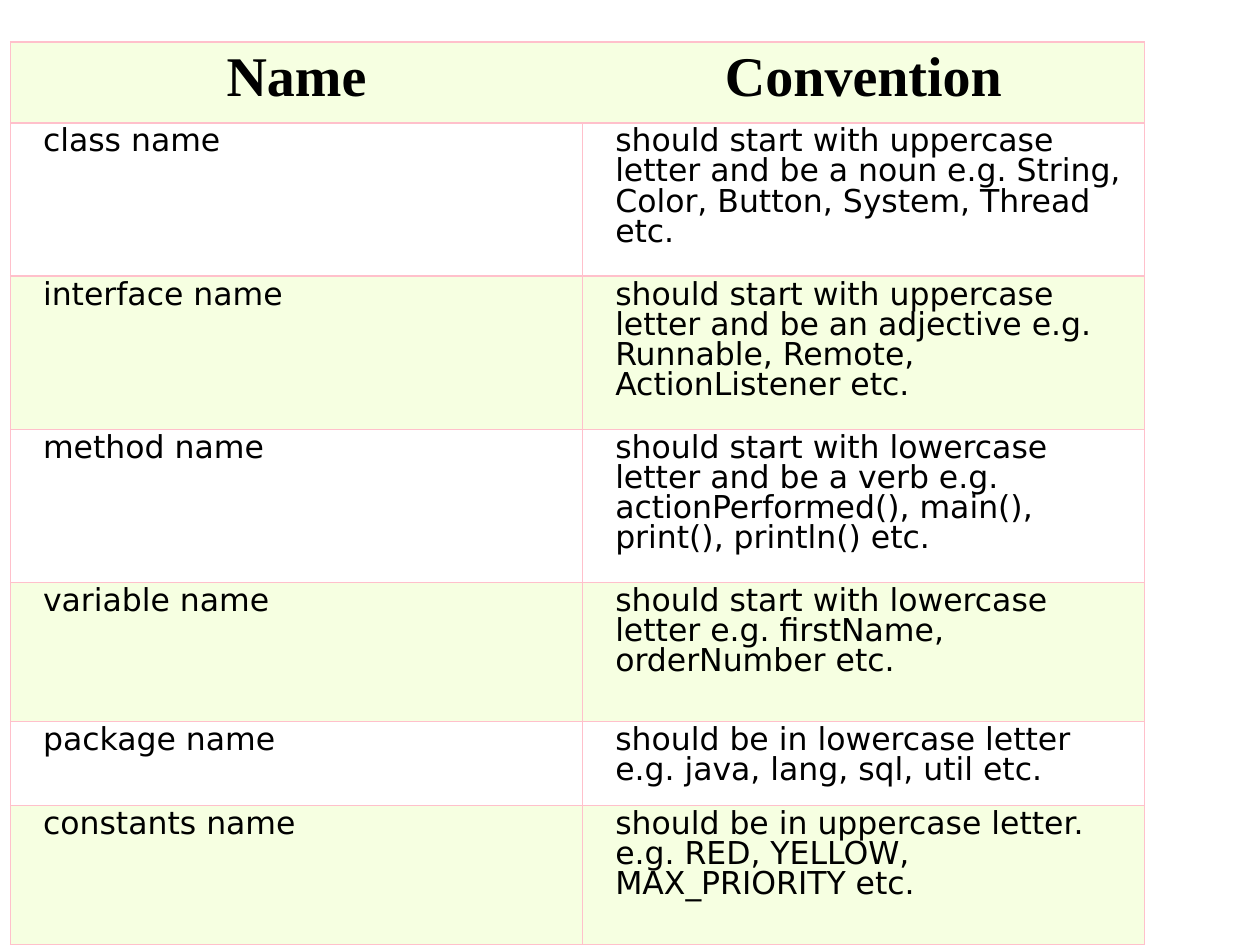
from dataclasses import dataclass

from lxml import etree
from pptx import Presentation
from pptx.dml.color import RGBColor
from pptx.enum.text import PP_ALIGN
from pptx.oxml.ns import qn
from pptx.util import Pt

CENTER = PP_ALIGN.CENTER
LEFT = PP_ALIGN.LEFT


@dataclass(frozen=True)
class Theme:
    ink: str = "000000"
    tint: str = "F6FFE1"
    plain: str = "FFFFFF"
    border: str = "FFC0CB"
    border_width: float = 1
    heading_font: str = "Times New Roman"
    body_font: str = "DejaVu Sans"
    heading_size: float = 32
    body_size: float = 18
    line_height: float = 17.2
    cell_margin: float = 3.6
    body_indent: float = 15


THEME = Theme()

COLUMN_WIDTHS = (327, 321)
ROW_HEIGHTS = (46.2, 87.6, 87.6, 87.6, 79.4, 48, 79.4)
HEADINGS = ("Name", "Convention")
CONVENTIONS = (
    ("class name", "should start with uppercase letter and be a noun e.g. "
     "String, Color, Button, System, Thread etc."),
    ("interface name", "should start with uppercase letter and be an adjective e.g. "
     "Runnable, Remote, ActionListener etc."),
    ("method name", "should start with lowercase letter and be a verb e.g. "
     "actionPerformed(), main(), print(), println() etc."),
    ("variable name", "should start with lowercase letter e.g. firstName, orderNumber etc."),
    ("package name", "should be in lowercase letter e.g. java, lang, sql, util etc."),
    ("constants name", "should be in uppercase letter. e.g. RED, YELLOW, MAX_PRIORITY etc."),
)


def write_text(frame, text, *, font, size, bold=False, align=LEFT, indent=0):
    para = frame.paragraphs[0]
    para.alignment = align
    para.line_spacing = Pt(THEME.line_height)
    properties = para._p.get_or_add_pPr()
    properties.set("marL", str(Pt(indent)))
    properties.set("indent", "0")
    span = para.add_run()
    span.text = text
    span.font.name = font
    span.font.size = Pt(size)
    span.font.bold = bold
    span.font.color.rgb = RGBColor.from_string(THEME.ink)


def set_borders(cell, hidden=()):
    properties = cell._tc.get_or_add_tcPr()
    for side in ("lnL", "lnR", "lnT", "lnB"):
        line = etree.SubElement(properties, qn(f"a:{side}"), w=str(Pt(THEME.border_width)))
        if side in hidden:
            etree.SubElement(line, qn("a:noFill"))
        else:
            fill = etree.SubElement(line, qn("a:solidFill"))
            etree.SubElement(fill, qn("a:srgbClr"), val=THEME.border)


def style_cell(cell, color, *, hidden=(), extra_top=0):
    set_borders(cell, hidden)
    cell.fill.solid()
    cell.fill.fore_color.rgb = RGBColor.from_string(color)
    cell.margin_left = cell.margin_right = cell.margin_bottom = Pt(THEME.cell_margin)
    cell.margin_top = Pt(THEME.cell_margin + extra_top)


def add_grid(page, left, top):
    frame = page.shapes.add_table(
        len(ROW_HEIGHTS), len(COLUMN_WIDTHS), Pt(left), Pt(top),
        Pt(sum(COLUMN_WIDTHS)), Pt(sum(ROW_HEIGHTS)))
    table = frame.table
    table.first_row = False
    table.horz_banding = False
    for column, width in zip(table.columns, COLUMN_WIDTHS):
        column.width = Pt(width)
    for row, height in zip(table.rows, ROW_HEIGHTS):
        row.height = Pt(height)
    return table


def fill_headings(table):
    # No rule between the two headings; they sit one line down
    for column, (heading, inner_side) in enumerate(zip(HEADINGS, ("lnR", "lnL"))):
        cell = table.cell(0, column)
        style_cell(cell, THEME.tint, hidden=(inner_side,), extra_top=THEME.line_height)
        write_text(cell.text_frame, heading, font=THEME.heading_font,
                   size=THEME.heading_size, bold=True, align=CENTER)


def fill_conventions(table):
    for row, entry in enumerate(CONVENTIONS, start=1):
        color = THEME.plain if row % 2 else THEME.tint
        for column, text in enumerate(entry):
            cell = table.cell(row, column)
            style_cell(cell, color)
            write_text(cell.text_frame, text, font=THEME.body_font,
                       size=THEME.body_size, indent=THEME.body_indent)


def main():
    deck = Presentation()
    deck.slide_width, deck.slide_height = Pt(720), Pt(540)
    page = deck.slides.add_slide(deck.slide_layouts[6])

    # Naming conventions table
    table = add_grid(page, left=6, top=24)
    fill_headings(table)
    fill_conventions(table)

    deck.save("out.pptx")


if __name__ == "__main__":
    main()
